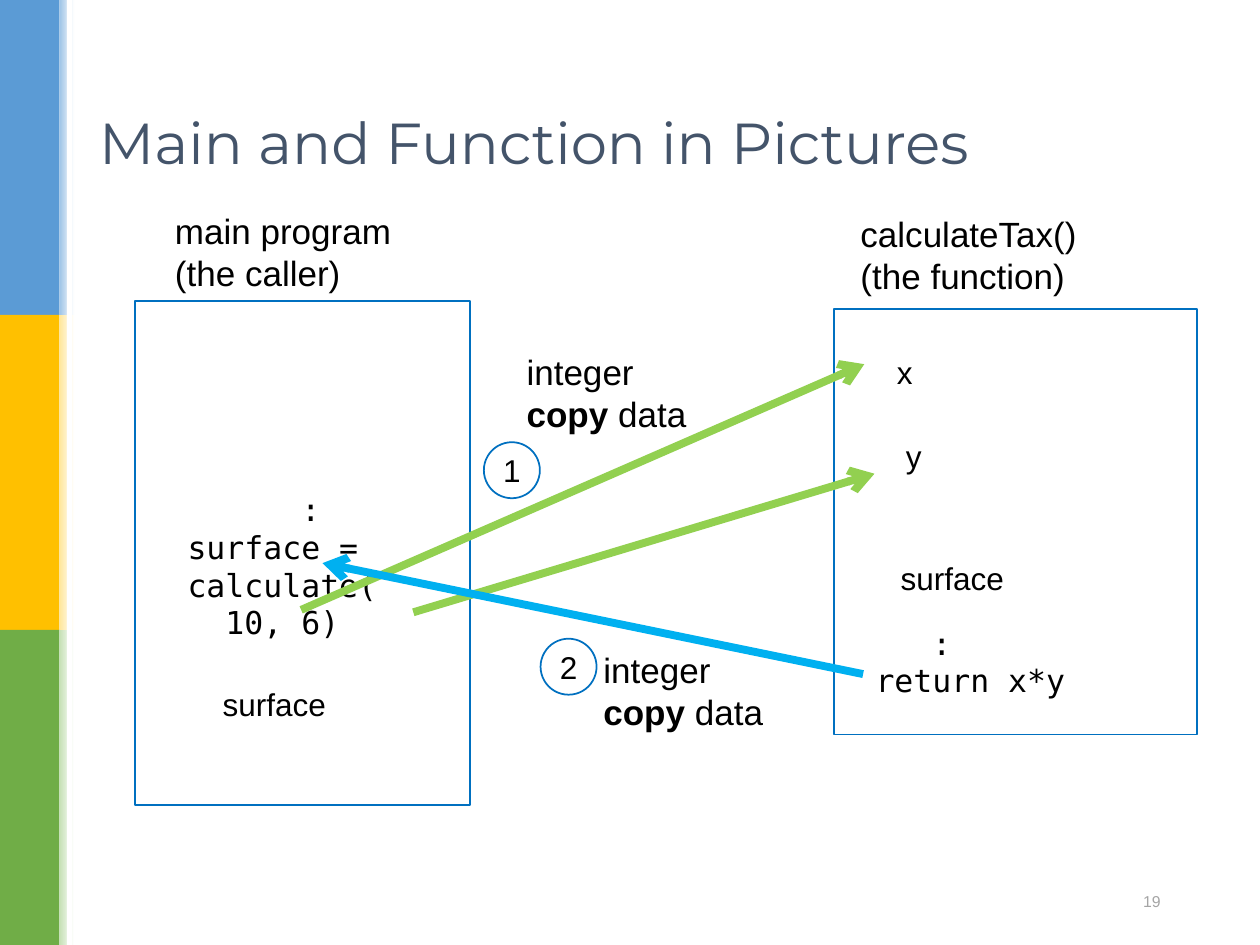
from dataclasses import dataclass

from lxml import etree
from pptx import Presentation
from pptx.dml.color import RGBColor
from pptx.enum.shapes import MSO_CONNECTOR, MSO_SHAPE
from pptx.enum.text import MSO_ANCHOR, PP_ALIGN
from pptx.oxml.ns import qn
from pptx.util import Pt

RECT, OVAL = MSO_SHAPE.RECTANGLE, MSO_SHAPE.OVAL
STRAIGHT = MSO_CONNECTOR.STRAIGHT
MIDDLE = MSO_ANCHOR.MIDDLE
LEFT, CENTER, RIGHT = PP_ALIGN.LEFT, PP_ALIGN.CENTER, PP_ALIGN.RIGHT
SANS, MONO, HEADING = "Arial", "DejaVu Sans Mono", "Montserrat"
BLACK, WHITE, OUTLINE = "000000", "FFFFFF", "0070C0"
GREEN, BLUE = "92D050", "00B0F0"
BAR_W, BAR_H = 34, 180


@dataclass
class Label:
    x: float
    y: float
    w: float
    h: float
    text: str
    size: float = 18
    font: str = SANS
    bold: str = ""


@dataclass
class Arrow:
    x1: float
    y1: float
    x2: float
    y2: float
    color: str


BARS = [("5B9BD5", "9DC3E6"), ("FFC000", "FFE699"), ("70AD47", "C5E0B4")]
BOXES = [(77, 172, 191.5, 288), (476.6, 176.4, 207.4, 243.4)]
COPY = "integer\ncopy data"
LABELS = [
    Label(92.9, 115.9, 142.6, 65.5, "main program\n(the caller)", 20),
    Label(484.6, 118.1, 142.6, 65.5, "calculateTax()\n(the function)", 20),
    Label(293.8, 196.6, 121, 65.5, COPY, 20, bold="copy"),
    Label(337.7, 367.2, 121, 65.5, COPY, 20, bold="copy"),
    Label(100.1, 276.5, 162.7, 106.6,
          "      :\nsurface =\ncalculate(\n  10, 6)", font=MONO),
    Label(493.2, 352.8, 150.5, 65.5, "   :\nreturn x*y", font=MONO),
    Label(120.2, 388.1, 80, 43.9, "surface"),
    Label(505.4, 198, 49, 31, "x"),
    Label(510.5, 246.2, 70.6, 44.6, "y"),
    Label(507.6, 316.1, 80, 50.4, "surface"),
]
STEPS = [("1", 276.5, 252.7), ("2", 308.9, 365)]
ARROWS = [
    Arrow(172.1, 348.5, 493.9, 208.1, GREEN),
    Arrow(236.2, 349.9, 499.7, 270.7, GREEN),
    Arrow(493.2, 385.2, 184.3, 321.8, BLUE),
]


def rgb(color: str) -> RGBColor:
    return RGBColor.from_string(color)


def style(p, size: float, font: str, color: str, align=LEFT) -> None:
    p.alignment = align
    for r in p.runs:
        r.font.size, r.font.name = Pt(size), font
        r.font.color.rgb = rgb(color)


def add_shape(s, kind, x, y, w, h, fill=None, line=None):
    sp = s.shapes.add_shape(kind, Pt(x), Pt(y), Pt(w), Pt(h))
    sp.shadow.inherit = False
    if fill:
        sp.fill.solid()
        sp.fill.fore_color.rgb = rgb(fill)
    else:
        sp.fill.background()
    if line:
        sp.line.color.rgb, sp.line.width = rgb(line), Pt(1)
    else:
        sp.line.fill.background()
    return sp


def add_bars(s) -> None:
    """Draw the coloured side bars with their fading edges."""
    for i, (color, light) in enumerate(BARS):
        add_shape(s, RECT, 0, i * BAR_H, BAR_W, BAR_H, color)
        fade = add_shape(s, RECT, BAR_W, i * BAR_H, 8.5, BAR_H).fill
        fade.gradient()
        fade.gradient_angle = 0
        for stop, c in zip(fade.gradient_stops, (light, WHITE)):
            stop.color.rgb = rgb(c)
    add_shape(s, RECT, 38.2, 0, 2.9, 3 * BAR_H, WHITE)


def add_label(s, label: Label) -> None:
    tf = s.shapes.add_textbox(Pt(label.x), Pt(label.y), Pt(label.w), Pt(label.h)).text_frame
    tf.word_wrap = False
    tf.text = label.text
    for p in tf.paragraphs:
        if label.bold and p.text.startswith(label.bold):
            rest = p.text.removeprefix(label.bold)
            p.text = label.bold
            p.runs[0].font.bold = True
            p.add_run().text = rest
        style(p, label.size, label.font, BLACK)


def add_step(s, number: str, x: float, y: float) -> None:
    tf = add_shape(s, OVAL, x, y, 32, 32, WHITE, OUTLINE).text_frame
    tf.margin_left = tf.margin_right = tf.margin_top = tf.margin_bottom = 0
    tf.vertical_anchor = MIDDLE
    tf.text = number
    style(tf.paragraphs[0], 18, SANS, BLACK, CENTER)


def add_arrow(s, a: Arrow) -> None:
    c = s.shapes.add_connector(STRAIGHT, Pt(a.x1), Pt(a.y1), Pt(a.x2), Pt(a.y2))
    c.line.color.rgb, c.line.width = rgb(a.color), Pt(4.5)
    etree.SubElement(c.line._get_or_add_ln(), qn("a:tailEnd"), type="arrow")
    etree.SubElement(c._element.spPr, qn("a:effectLst"))


def add_title(s, text: str) -> None:
    sp = s.shapes.title
    sp.left, sp.top, sp.width, sp.height = Pt(49.5), Pt(28.8), Pt(621), Pt(104.4)
    tf = sp.text_frame
    tf.text = text
    tf.vertical_anchor = MIDDLE
    style(tf.paragraphs[0], 33, HEADING, "44546A")


def add_page_number(s, number: str) -> None:
    tf = s.shapes.add_textbox(Pt(476.6), Pt(500.4), Pt(193.7), Pt(28.8)).text_frame
    tf.word_wrap = True
    tf.vertical_anchor = MIDDLE
    tf.text = number
    style(tf.paragraphs[0], 9, SANS, "A5A5A5", RIGHT)


def main() -> None:
    prs = Presentation()
    prs.slide_width, prs.slide_height = Pt(720), Pt(540)
    s = prs.slides.add_slide(prs.slide_layouts[5])
    add_bars(s)
    add_title(s, "Main and Function in Pictures")
    add_page_number(s, "19")
    for box in BOXES:
        add_shape(s, RECT, *box, line=OUTLINE)
    for label in LABELS:
        add_label(s, label)
    for step in STEPS:
        add_step(s, *step)
    for arrow in ARROWS:
        add_arrow(s, arrow)
    prs.save("out.pptx")


if __name__ == "__main__":
    main()
